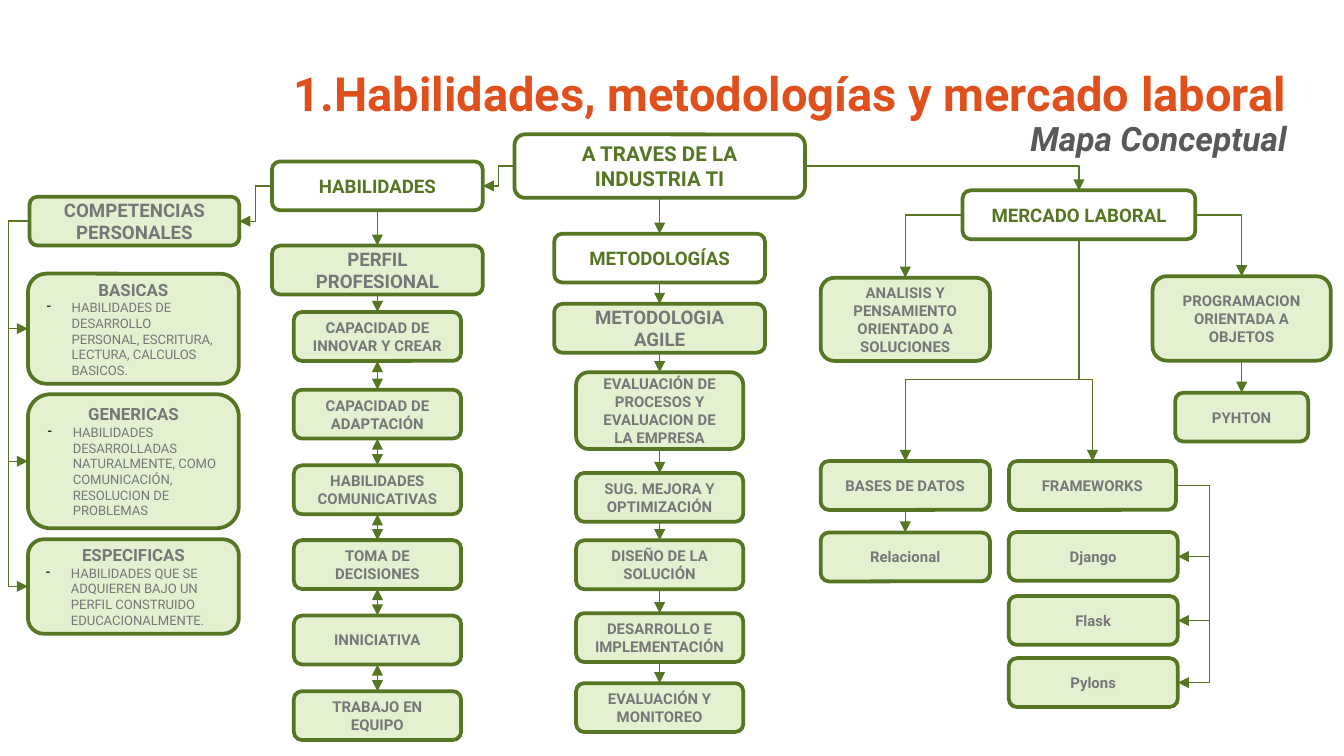
import itertools

import pptx
import pptx.dml.color
import pptx.enum.shapes
import pptx.enum.text
import pptx.oxml
import pptx.oxml.ns
import pptx.util

Pt = pptx.util.Pt
RGBColor = pptx.dml.color.RGBColor
ALIGN = pptx.enum.text.PP_ALIGN
ANCHOR = pptx.enum.text.MSO_ANCHOR
CONNECTOR = pptx.enum.shapes.MSO_CONNECTOR
NAMESPACE = pptx.oxml.ns.nsdecls("a")

ORANGE = RGBColor(0xDF, 0x50, 0x1D)
DARK_GRAY = RGBColor(0x59, 0x59, 0x59)
GRAY = RGBColor(0x77, 0x77, 0x77)
GREEN = RGBColor(0x56, 0x76, 0x23)
PALE_GREEN = RGBColor(0xE4, 0xF1, 0xD0)
WHITE = RGBColor(0xFF, 0xFF, 0xFF)
TOP, LEFT, BOTTOM, RIGHT = range(4)

deck = pptx.Presentation()
deck.slide_width, deck.slide_height = Pt(720), Pt(405)
page = deck.slides.add_slide(deck.slide_layouts[6])


def write(para, text, align, color, **formats):
    para.alignment = align
    span = para.add_run()
    span.text = text
    span.font.color.rgb = color
    for name, value in {"name": "Roboto", "bold": True, **formats}.items():
        setattr(span.font, name, value)


def link(start, start_side, end, end_side, kind="line", via=None, heads=("tailEnd",)):
    """Join two boxes; via is where the middle leg of a bent line runs, in points."""
    bent = kind != "line"
    line = page.shapes.add_connector(
        CONNECTOR.ELBOW if bent else CONNECTOR.STRAIGHT, 0, 0, 0, 0)
    line.begin_connect(boxes[start], start_side)
    line.end_connect(boxes[end], end_side)
    line.line.color.rgb = GREEN
    line.line.width = Pt(0.75)
    properties = line._element.spPr
    outline = properties.find(pptx.oxml.ns.qn("a:ln"))
    for head in heads:
        outline.append(pptx.oxml.parse_xml(f'<a:{head} {NAMESPACE} type="triangle"/>'))
    properties.append(pptx.oxml.parse_xml(f"<a:effectLst {NAMESPACE}/>"))
    if not bent:
        return
    geometry = properties.find(pptx.oxml.ns.qn("a:prstGeom"))
    geometry.set("prst", kind)
    begin, finish = line.begin_x, line.end_x
    if start_side == BOTTOM:
        begin, finish = line.begin_y, line.end_y
        across, down = line.end_x - line.begin_x, finish - begin
        middle_x, middle_y = (line.begin_x + line.end_x) // 2, (begin + finish) // 2
        line.left, line.top = middle_x - down // 2, middle_y - abs(across) // 2
        line.width, line.height = down, abs(across)
        frame = properties.find(pptx.oxml.ns.qn("a:xfrm"))
        frame.set("rot", "5400000" if across < 0 else "16200000")
        frame.set("flipH", "0" if across < 0 else "1")
    if via is not None:
        share = round((Pt(via) - begin) / (finish - begin) * 100000)
        for old in list(geometry):
            geometry.remove(old)
        geometry.append(pptx.oxml.parse_xml(
            f'<a:avLst {NAMESPACE}><a:gd name="adj1" fmla="val {share}"/></a:avLst>'))


titles = [
    ("1.Habilidades, metodologías y mercado laboral", 26, ANCHOR.BOTTOM, ORANGE,
     {"size": Pt(25.2)}),
    ("Mapa Conceptual", 56, ANCHOR.TOP, DARK_GRAY, {"size": Pt(18), "italic": True}),
]
for text, top, anchor, color, formats in titles:
    frame = page.shapes.add_textbox(Pt(21.5), Pt(top), Pt(675), Pt(46)).text_frame
    frame.word_wrap = True
    frame.vertical_anchor = anchor
    for margin in ("margin_left", "margin_top", "margin_right", "margin_bottom"):
        setattr(frame, margin, Pt(7.2))
    write(frame.paragraphs[0], text, ALIGN.RIGHT, color, **formats)

# Columns of boxes: middle, width, then (text, top, height, text size) for each box
ROOT, MARKET = "A TRAVES DE LA INDUSTRIA TI", "MERCADO LABORAL"
PERSONAL, OBJECTS = "COMPETENCIAS\nPERSONALES", "PROGRAMACION ORIENTADA A OBJETOS"
ANALYSIS = "ANALISIS Y PENSAMIENTO ORIENTADO A SOLUCIONES"
EVALUATION = "EVALUACIÓN DE PROCESOS Y EVALUACION DE LA EMPRESA"
SKILLS, METHODS, ROW = 202.2, 353.4, 26.2
skills = [("CAPACIDAD DE INNOVAR Y CREAR", 167.2), ("CAPACIDAD DE ADAPTACIÓN", 208.8),
          ("HABILIDADES COMUNICATIVAS", 249.3), ("TOMA DE DECISIONES", 289.4),
          ("INNICIATIVA", 329.8), ("TRABAJO EN EQUIPO", 370.3)]
methods = [("SUG. MEJORA Y OPTIMIZACIÓN", 253.4), ("DISEÑO DE LA SOLUCIÓN", 289.5),
           ("DESARROLLO E IMPLEMENTACIÓN", 328.5), ("EVALUACIÓN Y MONITOREO", 366)]
tools = [("Django", 285), ("Flask", 319.3), ("Pylons", 352.6)]
columns = [
    (METHODS, 155.6, [(ROOT, 72, 34, 11)]),
    (SKILLS, 113, [("HABILIDADES", 86.5, ROW, 10), ("PERFIL PROFESIONAL", 131.6, ROW, 10)]),
    (METHODS, 113, [("METODOLOGÍAS", 125.2, ROW, 10), ("METODOLOGIA AGILE", 162.8, ROW, 10)]),
    (578, 124.7, [(MARKET, 102, ROW, 10)]),
    (72, 112.4, [(PERSONAL, 105.4, ROW, 10)]),
    (71.5, 113, [("BASICAS", 146.6, 59, 9), ("GENERICAS", 211.2, 71.8, 9),
                 ("ESPECIFICAS", 288.9, 50.6, 9)]),
    (SKILLS, 89.6, [(text, top, ROW, 8) for text, top in skills]),
    (METHODS, 89.6, [(EVALUATION, 199.4, 41.2, 8)]
     + [(text, top, ROW, 8) for text, top in methods]),
    (485, 90.7, [(ANALYSIS, 148.8, 44.6, 8), ("BASES DE DATOS", 247, ROW, 8),
                 ("Relacional", 285.3, ROW, 8)]),
    (585.3, 89.4, [("FRAMEWORKS", 247, ROW, 8)]),
    (585.7, 90.6, [(text, top, ROW, 8) for text, top in tools]),
    (665.2, 95.4, [(OBJECTS, 148, 45.2, 8)]),
    (665.2, 71.3, [("PYHTON", 210.4, ROW, 8)]),
]
details = {
    "BASICAS": "HABILIDADES DE DESARROLLO PERSONAL, ESCRITURA, LECTURA, CALCULOS BASICOS.",
    "GENERICAS": "HABILIDADES DESARROLLADAS NATURALMENTE, COMO COMUNICACIÓN, "
                 "RESOLUCION DE PROBLEMAS",
    "ESPECIFICAS": "HABILIDADES QUE SE ADQUIEREN BAJO UN PERFIL CONSTRUIDO EDUCACIONALMENTE.",
}
headings = {ROOT, "HABILIDADES", "METODOLOGÍAS", MARKET}
bullet_parts = [
    f'<a:buClr {NAMESPACE}><a:srgbClr val="000000"/></a:buClr>',
    f'<a:buChar {NAMESPACE} char="-"/>',
]

boxes = {}
for middle, width, rows in columns:
    for text, top, height, size in rows:
        box = page.shapes.add_shape(
            pptx.enum.shapes.MSO_SHAPE.ROUNDED_RECTANGLE,
            Pt(middle - width / 2), Pt(top), Pt(width), Pt(height))
        boxes[text] = box
        box.shadow.inherit = False
        box.fill.solid()
        box.fill.fore_color.rgb = WHITE if text in headings else PALE_GREEN
        box.line.color.rgb = GREEN
        box.line.width = Pt(2)
        frame = box.text_frame
        frame.word_wrap = True
        frame.vertical_anchor = ANCHOR.MIDDLE
        for index, words in enumerate(text.split("\n")):
            para = frame.add_paragraph() if index else frame.paragraphs[0]
            write(para, words, ALIGN.CENTER, GREEN if text in headings else GRAY, size=Pt(size))
        if text in details:
            para = frame.add_paragraph()
            write(para, details[text], ALIGN.LEFT, GRAY, size=Pt(7), bold=False)
            layout = para._p.get_or_add_pPr()
            layout.set("marL", str(Pt(13.5)))
            layout.set("indent", str(Pt(-13.5)))
            for part in bullet_parts:
                layout.append(pptx.oxml.parse_xml(part))

chains = [
    ["HABILIDADES", "PERFIL PROFESIONAL", skills[0][0]],
    [ROOT, "METODOLOGÍAS", "METODOLOGIA AGILE", EVALUATION] + [text for text, _ in methods],
    ["BASES DE DATOS", "Relacional"],
    [OBJECTS, "PYHTON"],
]
for chain in chains:
    for upper, lower in itertools.pairwise(chain):
        link(upper, BOTTOM, lower, TOP)
for (upper, _), (lower, _) in itertools.pairwise(skills):
    link(upper, BOTTOM, lower, TOP, heads=("headEnd", "tailEnd"))

link(ROOT, LEFT, "HABILIDADES", RIGHT, "bentConnector3")
link("HABILIDADES", LEFT, PERSONAL, RIGHT, "bentConnector3")
link(ROOT, RIGHT, MARKET, TOP, "bentConnector2")
link(MARKET, LEFT, ANALYSIS, TOP, "bentConnector2")
link(MARKET, RIGHT, OBJECTS, TOP, "bentConnector2")
for target in ("BASES DE DATOS", "FRAMEWORKS"):
    link(MARKET, BOTTOM, target, TOP, "bentConnector3", via=203.2)
for target in details:
    link(PERSONAL, LEFT, target, LEFT, "bentConnector3", via=4.4)
for target, _ in tools:
    link("FRAMEWORKS", RIGHT, target, RIGHT, "bentConnector3", via=648)

deck.save("out.pptx")
